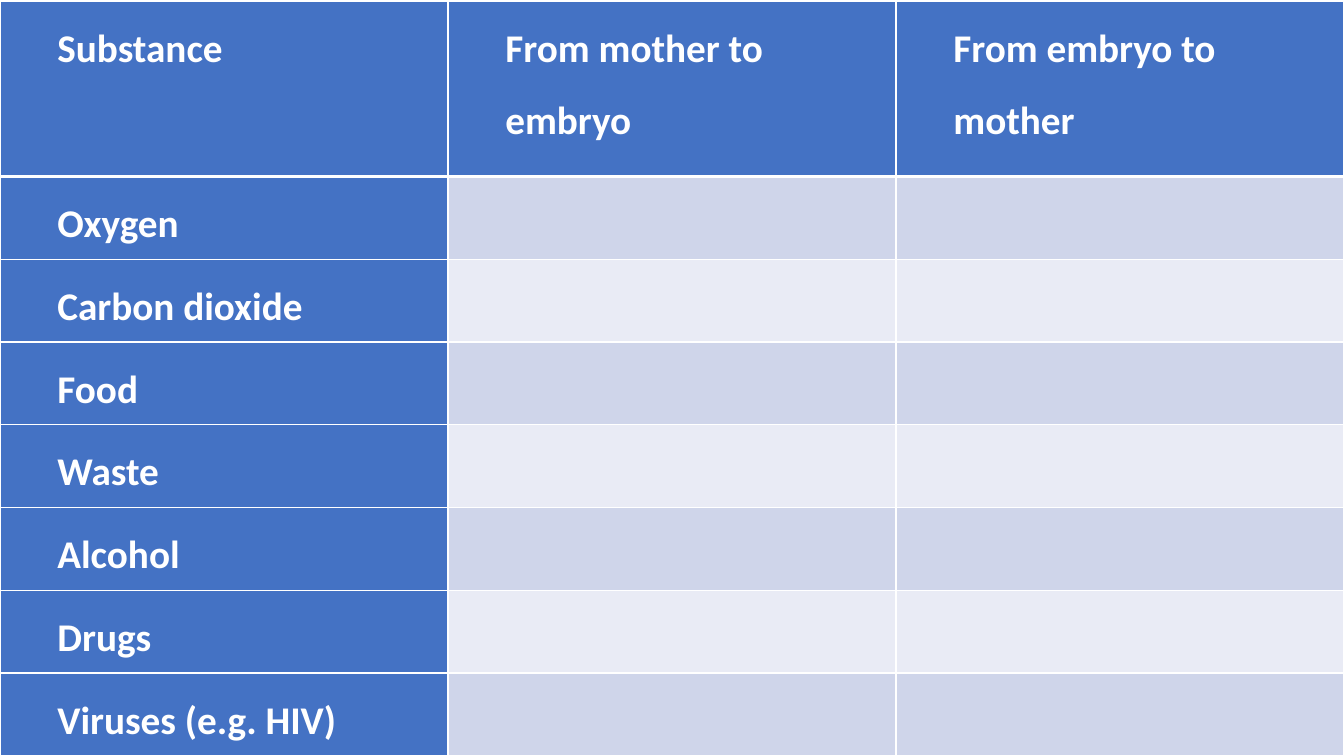
import lxml.etree
import pptx
import pptx.dml.color
import pptx.oxml.ns
import pptx.util

Inches = pptx.util.Inches
Pt = pptx.util.Pt
RGBColor = pptx.dml.color.RGBColor

WHITE = RGBColor(0xFF, 0xFF, 0xFF)
HEADING_BLUE = RGBColor(0x44, 0x72, 0xC4)
BAND_DARK = RGBColor(0xCF, 0xD5, 0xEA)
BAND_LIGHT = RGBColor(0xE9, 0xEB, 0xF5)

DIRECTIONS = ["Substance", "From mother to embryo", "From embryo to mother"]
SUBSTANCES = ["Oxygen", "Carbon dioxide", "Food", "Waste", "Alcohol", "Drugs",
              "Viruses (e.g. HIV)"]
HEADER_HEIGHT = 1.74


def add_borders(cell, widths):
    properties = cell._tc.get_or_add_tcPr()
    for side, width in widths.items():
        border = lxml.etree.SubElement(
            properties, pptx.oxml.ns.qn(f"a:ln{side}"), w=str(Pt(width)))
        fill = lxml.etree.SubElement(border, pptx.oxml.ns.qn("a:solidFill"))
        lxml.etree.SubElement(fill, pptx.oxml.ns.qn("a:srgbClr"), val=str(WHITE))


def write_heading(cell, wording):
    cell.margin_left = cell.margin_right = Inches(0.07)
    cell.margin_top = cell.margin_bottom = 0
    heading = cell.text_frame.paragraphs[0]
    heading.text = wording
    heading._p.get_or_add_pPr().set("marL", str(Inches(0.5)))
    heading.line_spacing = 1.5
    heading.font.name = "Calibri"
    heading.font.size = Pt(28)
    heading.font.bold = True
    heading.font.color.rgb = WHITE


def add_exchange_table(slide, left, top, width, height):
    row_count, column_count = len(SUBSTANCES) + 1, len(DIRECTIONS)
    exchange = slide.shapes.add_table(
        row_count, column_count,
        Inches(left), Inches(top), Inches(width), Inches(height)).table
    exchange.first_col = True
    for column in exchange.columns:
        column.width = Inches(width / column_count)
    for index, row in enumerate(exchange.rows):
        substance_height = (height - HEADER_HEIGHT) / len(SUBSTANCES)
        row.height = Inches(substance_height if index else HEADER_HEIGHT)
        headings = [SUBSTANCES[index - 1]] if index else DIRECTIONS
        band = BAND_DARK if index % 2 else BAND_LIGHT
        for position, cell in enumerate(row.cells):
            add_borders(cell, {"L": 1, "R": 1, "T": 3 if index == 1 else 1,
                               "B": 1 if index else 3})
            is_heading = position < len(headings)
            cell.fill.solid()
            cell.fill.fore_color.rgb = HEADING_BLUE if is_heading else band
            if is_heading:
                write_heading(cell, headings[position])


def main():
    presentation = pptx.Presentation()
    presentation.slide_width = Inches(13.33)
    presentation.slide_height = Inches(7.5)
    slide = presentation.slides.add_slide(presentation.slide_layouts[6])
    add_exchange_table(slide, 0, 0.01, 13.33, 7.49)
    presentation.save("out.pptx")


if __name__ == "__main__":
    main()
